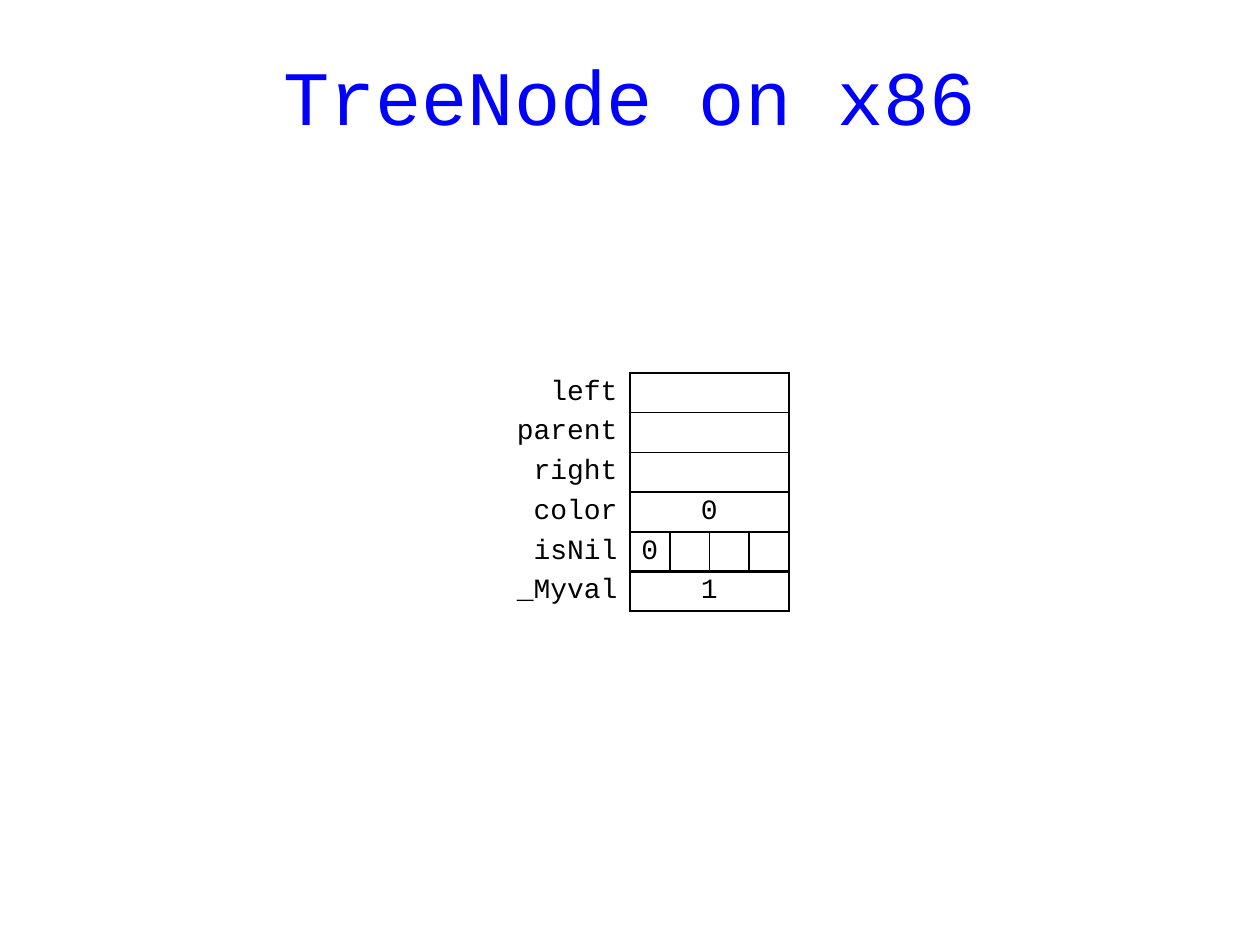
from dataclasses import dataclass

from lxml import etree
from pptx import Presentation
from pptx import util as u
from pptx.dml import color
from pptx.enum import text
from pptx.oxml import ns


@dataclass
class Theme:
    font: str = "Courier New"
    ink: str = "000000"
    blue: str = "0000FF"
    head: int = 44
    body: int = 16
    thin: float = 1
    thick: float = 1.5


class Deck:
    def __init__(self, theme):
        self.theme = theme
        self.show = Presentation()
        self.show.slide_width = u.Inches(10)
        self.show.slide_height = u.Inches(7.5)
        self.slide = self.show.slides.add_slide(self.show.slide_layouts[5])

    def label(self, frame, words, size, tone, align):
        frame.text = words
        para = frame.paragraphs[0]
        para.alignment = align
        for run in para.runs:
            run.font.name = self.theme.font
            run.font.size = u.Pt(size)
            run.font.color.rgb = color.RGBColor.from_string(tone)

    def title(self, words, left, top, width, height):
        box = self.slide.shapes.title
        box.left, box.top = u.Inches(left), u.Inches(top)
        box.width, box.height = u.Inches(width), u.Inches(height)
        self.label(box.text_frame, words, self.theme.head, self.theme.blue,
                   text.PP_ALIGN.CENTER)
        box.text_frame.paragraphs[0].line_spacing = 0.9
        box.text_frame.vertical_anchor = text.MSO_ANCHOR.MIDDLE

    def grid(self, rows, left, top, widths, step):
        frame = self.slide.shapes.add_table(
            rows, len(widths), u.Inches(left), u.Inches(top),
            u.Inches(sum(widths)), u.Inches(rows * step))
        table = frame.table
        table.first_row = table.horz_banding = False
        for col, width in zip(table.columns, widths):
            col.width = u.Inches(width)
        for row in table.rows:
            row.height = u.Inches(step)
        return table

    def cell(self, cell, words, align, pad, edges):
        cell.margin_left = cell.margin_right = u.Inches(pad)
        cell.margin_top = cell.margin_bottom = 0
        cell.vertical_anchor = text.MSO_ANCHOR.MIDDLE
        self.label(cell.text_frame, words, self.theme.body, self.theme.ink, align)
        props = cell._tc.get_or_add_tcPr()
        for side in "LRTB":
            if side in edges:
                line = etree.SubElement(props, ns.qn(f"a:ln{side}"),
                                        w=str(u.Pt(edges[side])))
                fill = etree.SubElement(line, ns.qn("a:solidFill"))
                etree.SubElement(fill, ns.qn("a:srgbClr"), val=self.theme.ink)
        cell.fill.background()

    def layout(self, fields, left, top, wide, step, slots, rules, bars):
        table = self.grid(len(fields), left, top, [wide] + [step] * slots, step)
        thick = self.theme.thick
        for r, (name, value, split) in enumerate(fields):
            self.cell(table.cell(r, 0), name, text.PP_ALIGN.RIGHT, 0.1, {"R": thick})
            if not split:
                table.cell(r, 1).merge(table.cell(r, slots))
            for c in range(slots):
                edges = {"T": rules[r], "B": rules[r + 1]}
                if split or c == 0:
                    edges["L"] = bars[c]
                    edges["R"] = bars[c + 1] if split else thick
                elif c == slots - 1:
                    edges["R"] = thick
                self.cell(table.cell(r, c + 1), value if c == 0 else "",
                          text.PP_ALIGN.CENTER, 0.08, edges)


def main():
    theme = Theme()
    deck = Deck(theme)
    deck.title("TreeNode on x86", 0.47, 0.21, 9.06, 1.18)
    fields = [
        ("left", "", False),
        ("parent", "", False),
        ("right", "", False),
        ("color", "0", False),
        ("isNil", "0", True),
        ("_Myval", "1", False),
    ]
    thin, thick = theme.thin, theme.thick
    rules = [thick, thin, thin] + [thick] * 4
    bars = [thick, thick, thin, thick, thick]
    deck.layout(fields, 3.9, 2.96, 1.1, 1.26 / 4, 4, rules, bars)
    deck.show.save("out.pptx")


if __name__ == "__main__":
    main()
